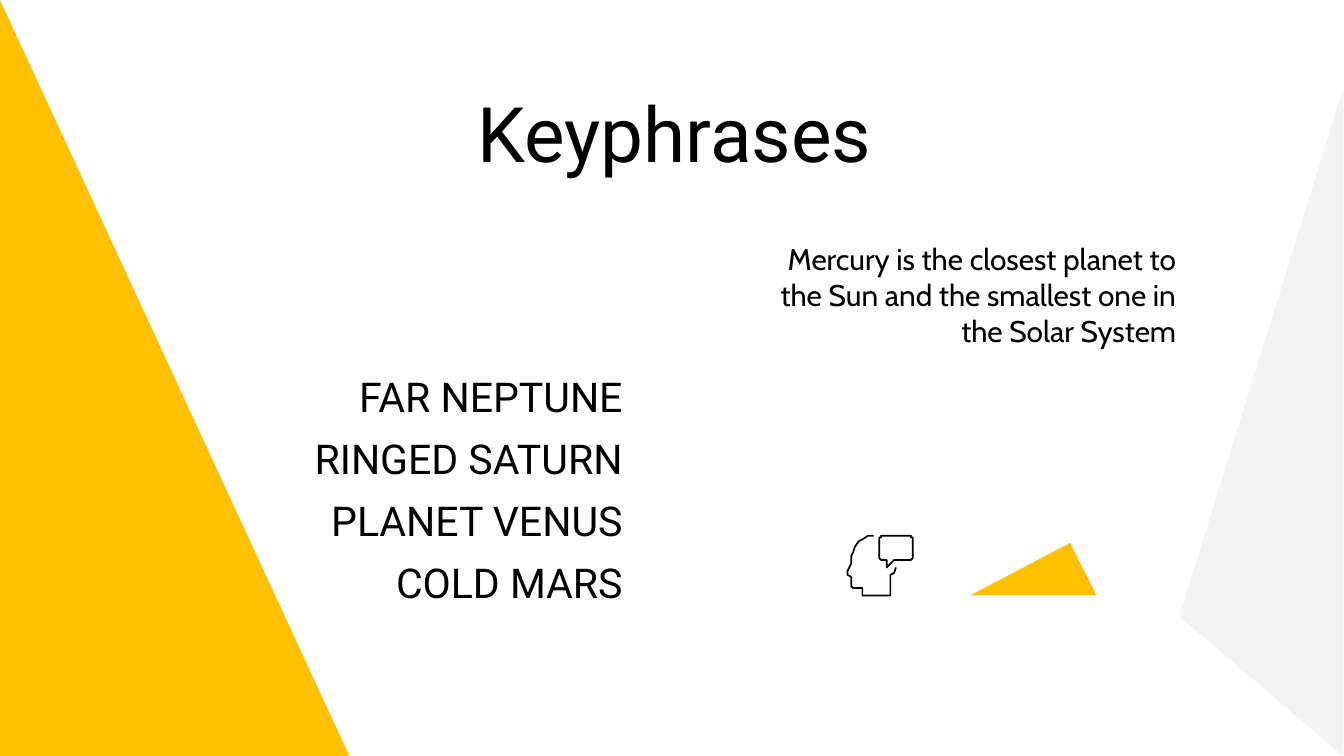
from math import cos, radians, sin

from pptx import Presentation
from pptx.dml.color import RGBColor
from pptx.enum.shapes import MSO_SHAPE as Preset
from pptx.enum.text import MSO_ANCHOR as Anchor, PP_ALIGN as Align
from pptx.util import Pt

BLACK = RGBColor(0x00, 0x00, 0x00)
WHITE = RGBColor(0xFF, 0xFF, 0xFF)
YELLOW = RGBColor(0xFF, 0xC0, 0x00)
GREY = RGBColor(0xF3, 0xF3, 0xF3)

PAGE_WIDTH, PAGE_HEIGHT = 720, 405
INSET = 7.2
LABELS = ["FAR NEPTUNE", "RINGED SATURN", "PLANET VENUS", "COLD MARS"]


def add_filled(page, preset, box, color, rotation=0, peak=None):
    shape = page.shapes.add_shape(preset, *map(Pt, box))
    shape.shadow.inherit = False
    shape.fill.solid()
    shape.fill.fore_color.rgb = color
    shape.line.fill.background()
    shape.rotation = rotation
    if peak is not None:
        shape.adjustments[0] = peak


def add_text(page, box, text, size, font, align, anchor=Anchor.TOP):
    frame = page.shapes.add_textbox(*map(Pt, box)).text_frame
    frame.word_wrap = True
    frame.vertical_anchor = anchor
    frame.margin_left = frame.margin_right = Pt(INSET)
    frame.margin_top = frame.margin_bottom = Pt(INSET)
    para = frame.paragraphs[0]
    para.alignment = align
    span = para.add_run()
    span.text = text
    span.font.size = Pt(size)
    span.font.name = font
    span.font.color.rgb = BLACK


def add_outline(page, points, closed):
    """Draw a thin black line through points given in points of length."""
    builder = page.shapes.build_freeform(*points[0], scale=Pt(1))
    builder.add_line_segments(points[1:], close=closed)
    shape = builder.convert_to_shape()
    shape.shadow.inherit = False
    shape.fill.background()
    shape.line.color.rgb = BLACK
    shape.line.width = Pt(0.9)


def arc(center_x, center_y, radius_x, radius_y, start, end, steps=6):
    """Points along an elliptical arc; angles in degrees, clockwise from the right."""
    angles = [radians(start + (end - start) * i / steps) for i in range(steps + 1)]
    return [(center_x + radius_x * cos(a), center_y + radius_y * sin(a)) for a in angles]


def add_background(page, width, height):
    page.background.fill.solid()
    page.background.fill.fore_color.rgb = WHITE
    # Grey wedge on the right, yellow wedge on the left
    add_filled(page, Preset.ISOSCELES_TRIANGLE, (496.8, 182.2, 357.8, 87.8),
               GREY, rotation=270, peak=0.209)
    add_filled(page, Preset.RIGHT_TRIANGLE, (0, 0, 187.2, height), YELLOW)


def add_labels(page, left, top, width, height, pitch):
    for row, label in enumerate(LABELS):
        add_text(page, (left, top + row * pitch, width, height), label,
                 22, "Roboto", Align.RIGHT, Anchor.MIDDLE)


def add_talking_head(page, left, top, width, height):
    right, bottom = left + width, top + height

    # Head in profile, from the crown round to the back of the neck
    head = arc(left + 15, top + 11.9, 11.7, 11.5, 270, 180)
    head += [(left + 3.3, top + 14.9), (left + 0.7, top + 19.8)]
    head += [(left + 0.9, top + 21.5), (left + 3.2, top + 22)]
    head += arc(left + 5.6, top + 26.3, 2.4, 2.4, 180, 90)
    head += [(left + 9.2, top + 28.2), (left + 9.2, bottom - 0.4)]
    head += [(left + 24.1, bottom - 0.4), (left + 24.1, top + 21.9)]
    head += [(left + 25.8, top + 20), (left + 26.9, top + 17.7)]
    add_outline(page, head, closed=False)

    # Speech bubble with its tail
    near, far = left + 18.1, right - 0.4
    roof, floor, radius = top + 0.4, top + 13.7, 2.4
    bubble = arc(near + radius, roof + radius, radius, radius, 180, 270)
    bubble += arc(far - radius, roof + radius, radius, radius, 270, 360)
    bubble += arc(far - radius, floor - radius, radius, radius, 0, 90)
    bubble += [(left + 26.2, floor), (left + 21.9, top + 17.6), (left + 21.9, floor)]
    bubble += arc(near + radius, floor - radius, radius, radius, 90, 180)
    add_outline(page, bubble, closed=True)


def main():
    deck = Presentation()
    deck.slide_width, deck.slide_height = Pt(PAGE_WIDTH), Pt(PAGE_HEIGHT)
    page = deck.slides.add_slide(deck.slide_layouts[6])

    add_background(page, PAGE_WIDTH, PAGE_HEIGHT)

    # Description and title
    add_text(page, (403.2, 121.7, 234, 76.3),
             "Mercury is the closest planet to the Sun and the smallest one "
             "in the Solar System", 16, "Cabin", Align.RIGHT)
    add_text(page, (64.8, 38.9, 593.3, 45.4), "Keyphrases", 41, "Roboto", Align.CENTER)

    add_labels(page, 146.2, 200.2, 194.4, 24.5, pitch=33.1)

    # Accent triangle and icon
    add_filled(page, Preset.ISOSCELES_TRIANGLE, (519.8, 290.9, 67.7, 28.1),
               YELLOW, peak=0.791)
    add_talking_head(page, 452.9, 286.6, 36.7, 32.4)

    deck.save("out.pptx")


if __name__ == "__main__":
    main()
